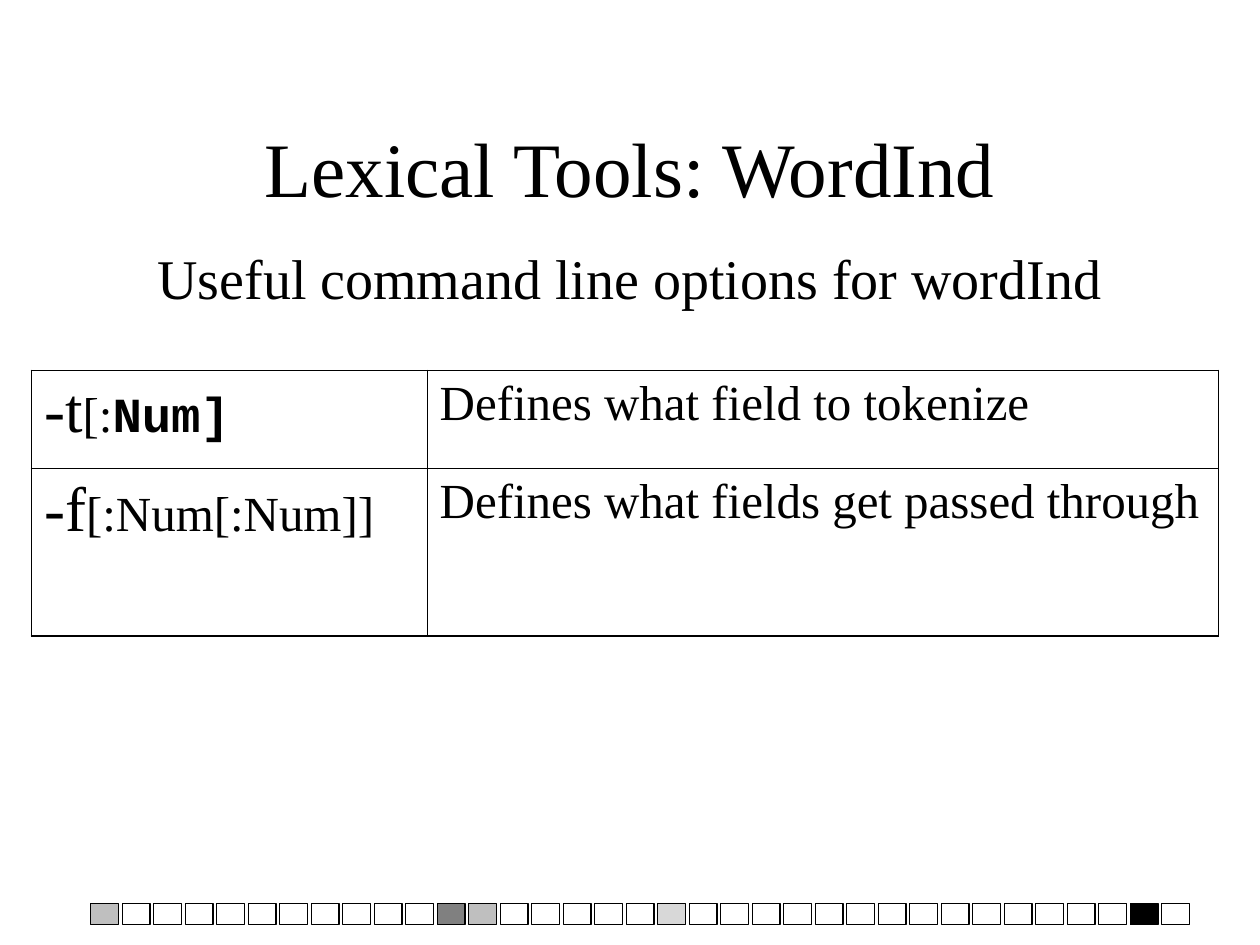
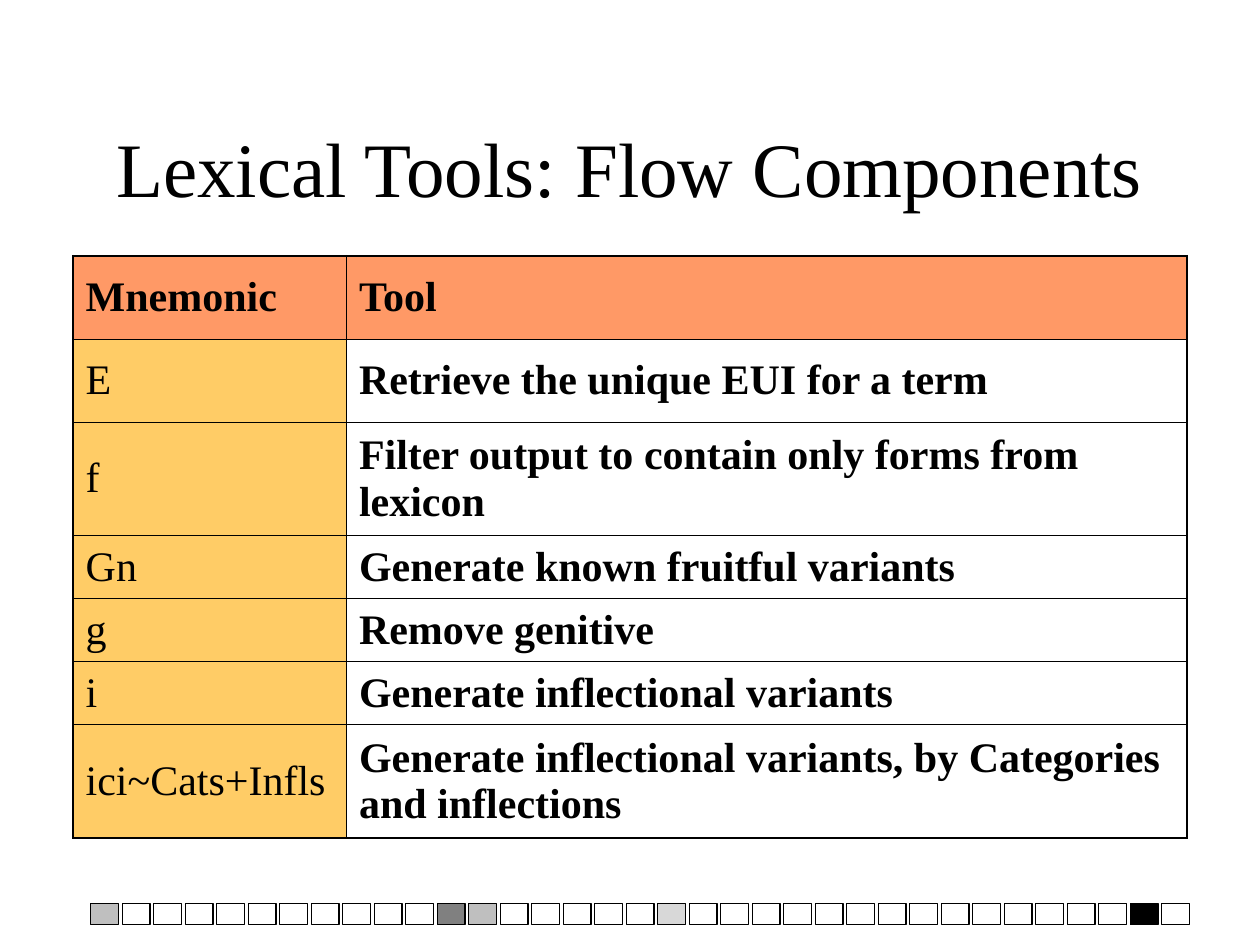
import pptx
import pptx.dml.color
import pptx.enum.shapes
import pptx.enum.text
import pptx.oxml
import pptx.oxml.ns
import pptx.util
from pptx.util import Inches

COLORS = {
    "ink": "000000",
    "paper": "FFFFFF",
    "gray": "808080",
    "silver": "B2B2B2",
    "header": "FF9966",
    "mnemonic": "FFCC66",
}
SERIF, MONO = "Times New Roman", "Courier New"
OUTER_BORDER, INNER_BORDER = 1.08, 0.45
MIDDLE = pptx.enum.text.MSO_ANCHOR.MIDDLE
TOP = pptx.enum.text.MSO_ANCHOR.TOP

# Progress strip: position -> (colour, opacity in percent)
STRIP_COUNT, STRIP_LEFT, STRIP_STEP = 35, 0.72, 0.25
STRIP_FILLS = {0: ("gray", 50), 11: ("gray", 100), 12: ("gray", 50),
               18: ("silver", 50), 33: ("ink", 100)}


def paint(fill, color, opacity=100):
    """Fill solidly, or clear the fill when there is no colour."""
    if color is None:
        fill.background()
        return
    fill.solid()
    fill.fore_color.rgb = pptx.dml.color.RGBColor.from_string(COLORS[color])
    if opacity < 100:
        rgb = fill._xPr.find(".//" + pptx.oxml.ns.qn("a:srgbClr"))
        rgb.append(pptx.oxml.parse_xml(
            f'<a:alpha {pptx.oxml.ns.nsdecls("a")} val="{opacity * 1000}"/>'))


def write(frame, runs, anchor, align=pptx.enum.text.PP_ALIGN.LEFT):
    """Write runs of (text, size, font, bold) as one paragraph."""
    frame.word_wrap = True
    frame.vertical_anchor = anchor
    paragraph = frame.paragraphs[0]
    paragraph.alignment = align
    for text, size, font, bold in runs:
        run = paragraph.add_run()
        run.text = text
        run.font.size = pptx.util.Pt(size)
        run.font.name = font
        run.font.bold = bold
        run.font.color.rgb = pptx.dml.color.RGBColor.from_string(COLORS["ink"])


# Table contents
options = [
    [[("-t", 36, SERIF, False), ("[:", 28, SERIF, False), ("Num]", 28, MONO, True)],
     [("Defines what field to tokenize", 28, SERIF, False)]],
    [[("-f", 36, SERIF, False), ("[:Num[:Num]]", 28, SERIF, False)],
     [("Defines what fields get passed through", 28, SERIF, False)]],
]
components = [
    ("Mnemonic", "Tool"),
    ("E", "Retrieve the unique EUI for a term"),
    ("f", "Filter output to contain only forms from lexicon"),
    ("Gn", "Generate known fruitful variants"),
    ("g", "Remove genitive"),
    ("i", "Generate inflectional variants"),
    ("ici~Cats+Infls", "Generate inflectional variants, by Categories and inflections"),
]
component_rows = [
    [[(mnemonic, 24, SERIF, row == 0)], [(tool, 24, SERIF, True)]]
    for row, (mnemonic, tool) in enumerate(components)
]
component_fills = [[("header", 50)] * 2] + [[("mnemonic", 100), ("paper", 100)]] * 6

pages = [
    dict(title="Lexical Tools: WordInd",
         subtitle="Useful command line options for wordInd",
         left=0.25, top=2.94, widths=[3.14, 6.28], heights=[0.78, 1.33],
         rows=options, fills=[[(None, 100)] * 2] * 2, anchor=TOP),
    dict(title="Lexical Tools: Flow Components",
         subtitle=None,
         left=0.58, top=2.03, widths=[2.17, 6.67],
         heights=[0.66, 0.66, 0.9, 0.5, 0.5, 0.5, 0.9],
         rows=component_rows, fills=component_fills, anchor=MIDDLE),
]

deck = pptx.Presentation()
deck.slide_width, deck.slide_height = Inches(10), Inches(7.5)

for page in pages:
    slide = deck.slides.add_slide(deck.slide_layouts[6])
    paint(slide.background.fill, "paper")

    # Progress strip
    for position in range(STRIP_COUNT):
        step = slide.shapes.add_shape(
            pptx.enum.shapes.MSO_SHAPE.RECTANGLE,
            Inches(STRIP_LEFT + position * STRIP_STEP), Inches(7.17),
            Inches(0.22), Inches(0.17))
        step.shadow.inherit = False
        paint(step.fill, *STRIP_FILLS.get(position, (None, 100)))
        paint(step.line.fill, "ink")
        step.line.width = pptx.util.Pt(0.75)

    # Title and subtitle
    headings = [(page["title"], 44, 0.67, 1.25, MIDDLE)]
    if page["subtitle"]:
        headings.append((page["subtitle"], 32, 1.83, 4.5, TOP))
    for text, size, top, height, anchor in headings:
        heading = slide.shapes.add_textbox(
            Inches(0.75), Inches(top), Inches(8.5), Inches(height))
        heading.text_frame.margin_top = Inches(0.1)
        write(heading.text_frame, [(text, size, SERIF, False)], anchor,
              pptx.enum.text.PP_ALIGN.CENTER)

    # Table
    widths, heights = page["widths"], page["heights"]
    table = slide.shapes.add_table(
        len(heights), len(widths), Inches(page["left"]), Inches(page["top"]),
        Inches(sum(widths)), Inches(sum(heights))).table
    table.first_row = table.horz_banding = False
    for column, width in zip(table.columns, widths):
        column.width = Inches(width)
    for r, height in enumerate(heights):
        table.rows[r].height = Inches(height)
        for c in range(len(widths)):
            cell = table.cell(r, c)
            write(cell.text_frame, page["rows"][r][c], page["anchor"])
            cell.vertical_anchor = page["anchor"]
            edges = {"L": c == 0, "R": c == len(widths) - 1,
                     "T": r == 0, "B": r == len(heights) - 1}
            for side, is_outer in edges.items():
                points = OUTER_BORDER if is_outer else INNER_BORDER
                cell._tc.get_or_add_tcPr().append(pptx.oxml.parse_xml(
                    f'<a:ln{side} {pptx.oxml.ns.nsdecls("a")} w="{pptx.util.Pt(points)}">'
                    f'<a:solidFill><a:srgbClr val="{COLORS["ink"]}"/></a:solidFill>'
                    f'</a:ln{side}>'))
            paint(cell.fill, *page["fills"][r][c])

deck.save("out.pptx")
